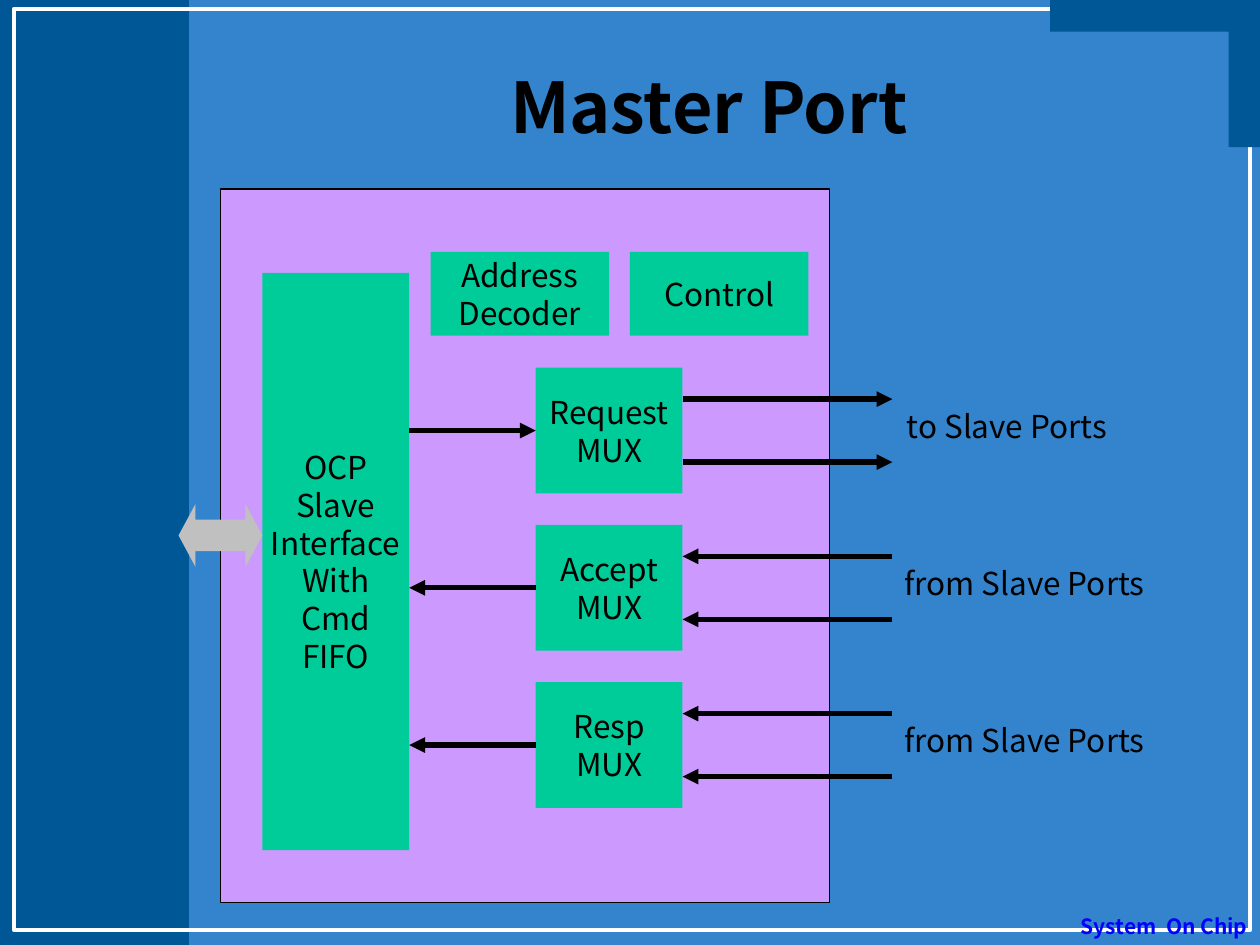
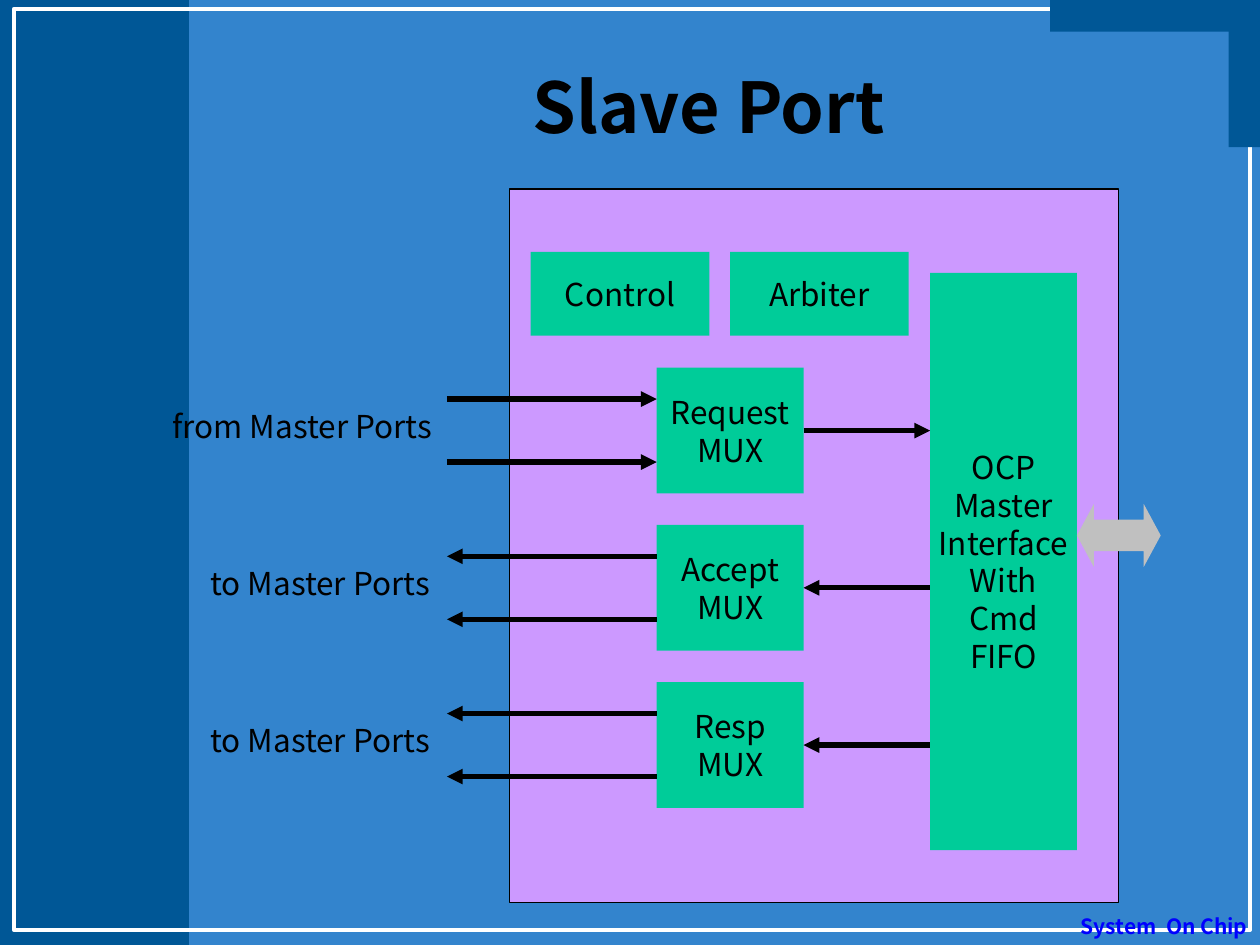
"""Build two block diagrams: the master port and, mirrored, the slave port."""
from dataclasses import dataclass
from typing import Optional

from lxml import etree
from pptx import Presentation
from pptx import util as u
from pptx.dml.color import RGBColor
from pptx.enum import shapes, text
from pptx.oxml import ns

FONT = "Noto Sans CJK KR"
BLACK, WHITE, FOOTER_BLUE = "000000", "FFFFFF", "0000FF"
SKY, NAVY, LILAC, GREEN, SILVER = "3384CD", "005796", "CC99FF", "00CC99", "C0C0C0"
MIRROR_WIDTH = 27.0
MUX_TOP, MUX_STEP = 7.41, 3.17
MUX_NAMES = ("Request", "Accept", "Resp")
OUTER_END = 17.99


@dataclass(frozen=True)
class Box:
    """A rectangle in centimetres."""
    left: float
    top: float
    width: float
    height: float

    @property
    def right(self) -> float:
        """Return the right edge."""
        return self.left + self.width

    @property
    def middle(self) -> float:
        """Return the vertical centre."""
        return self.top + self.height / 2

    def mirrored(self, flip: bool) -> "Box":
        """Return the box reflected left to right if flip is set."""
        if not flip:
            return self
        return Box(MIRROR_WIDTH - self.right, self.top, self.width, self.height)

    def lengths(self) -> list[u.Cm]:
        """Return left, top, width and height as lengths."""
        return [u.Cm(n) for n in (self.left, self.top, self.width, self.height)]


@dataclass(frozen=True)
class Label:
    """The caption beside the outer arrows of one multiplexer."""
    words: str
    left: float
    width: float


@dataclass(frozen=True)
class Port:
    """The content of one port diagram."""
    title: str
    role: str
    helpers: tuple[str, str]
    labels: tuple[Label, Label, Label]
    flip: bool


BANDS = (Box(0, 0, 3.81, 19.05), Box(21.17, 0, 4.23, 0.64), Box(24.77, 0, 0.63, 2.97))
FRAME = Box(0.28, 0.18, 24.92, 18.57)
TITLE = Box(3.81, 0.85, 20.96, 2.54)
FOOTER = Box(21.49, 18.29, 3.91, 1.27)
PANEL = Box(4.45, 3.81, 12.28, 14.39)
INTERFACE = Box(5.29, 5.5, 2.96, 11.64)
BUS = Box(3.6, 10.16, 1.69, 1.27)
HELPERS = (Box(8.68, 5.08, 3.6, 1.69), Box(12.7, 5.08, 3.6, 1.69))

FROM_SLAVES = Label("from Slave Ports", 17.98, 5.41)
TO_MASTERS = Label("to Master Ports", 3.99, 5.11)
PORTS = (
    Port("Master Port", "Slave", ("Address\nDecoder", "Control"),
         (Label("to Slave Ports", 18.03, 4.55), FROM_SLAVES, FROM_SLAVES), False),
    Port("Slave Port", "Master", ("Arbiter", "Control"),
         (Label("from Master Ports", 3.23, 5.94), TO_MASTERS, TO_MASTERS), True),
)


def colour(value: str) -> RGBColor:
    """Turn a hex string into a colour."""
    return RGBColor.from_string(value)


def write(frame, words: str, size: float = 18, ink: str = BLACK, bold: bool = False,
          align=text.PP_ALIGN.CENTER) -> None:
    """Write each line of words as one paragraph with one run."""
    for index, line in enumerate(words.split("\n")):
        paragraph = frame.paragraphs[0] if index == 0 else frame.add_paragraph()
        paragraph.alignment = align
        run = paragraph.add_run()
        run.text = line
        run.font.name = FONT
        run.font.size = u.Pt(size)
        run.font.bold = bold
        run.font.color.rgb = colour(ink)


def draw(slide, box: Box, fill: Optional[str] = None, edge: Optional[str] = None,
         weight: float = 0.75, kind=shapes.MSO_SHAPE.RECTANGLE):
    """Draw a flat preset shape."""
    shape = slide.shapes.add_shape(kind, *box.lengths())
    shape.shadow.inherit = False
    if fill:
        shape.fill.solid()
        shape.fill.fore_color.rgb = colour(fill)
    else:
        shape.fill.background()
    if edge:
        shape.line.color.rgb = colour(edge)
        shape.line.width = u.Pt(weight)
    else:
        shape.line.fill.background()
    return shape


def block(slide, box: Box, words: str):
    """Draw a green block with centred words."""
    shape = draw(slide, box, GREEN)
    shape.text_frame.word_wrap = False
    shape.text_frame.vertical_anchor = text.MSO_ANCHOR.MIDDLE
    write(shape.text_frame, words)
    return shape


def caption(slide, box: Box, wrap: bool, grow: bool = True):
    """Add a text box and return its frame."""
    frame = slide.shapes.add_textbox(*box.lengths()).text_frame
    frame.word_wrap = wrap
    if grow:
        frame.auto_size = text.MSO_AUTO_SIZE.SHAPE_TO_FIT_TEXT
    return frame


def arrow(slide, left: float, right: float, y: float, rightward: bool):
    """Draw a horizontal arrow between two x positions."""
    connector = slide.shapes.add_connector(
        shapes.MSO_CONNECTOR.STRAIGHT, u.Cm(left), u.Cm(y), u.Cm(right), u.Cm(y))
    connector.line.color.rgb = colour(BLACK)
    connector.line.width = u.Pt(3)
    properties = connector.element.spPr
    tip = "a:tailEnd" if rightward else "a:headEnd"
    etree.SubElement(properties.find(ns.qn("a:ln")), ns.qn(tip), type="triangle")
    etree.SubElement(properties, ns.qn("a:effectLst"))
    return connector


def decorate(slide, title: str) -> None:
    """Draw the side band, frame, corner, footer and title."""
    side, *corner = BANDS
    draw(slide, side, NAVY)
    draw(slide, FRAME, edge=WHITE, weight=2.25)
    for band in corner:
        draw(slide, band, NAVY)
    write(caption(slide, FOOTER, True), "System  On Chip", 12, FOOTER_BLUE, True,
          text.PP_ALIGN.RIGHT)
    heading = caption(slide, TITLE, True, grow=False)
    heading.vertical_anchor = text.MSO_ANCHOR.MIDDLE
    write(heading, title, 40, bold=True)


def draw_mux(slide, row: int, label: Label, flip: bool) -> None:
    """Draw one multiplexer with its inner arrow, outer arrows and label."""
    box = Box(10.8, MUX_TOP + row * MUX_STEP, 2.96, 2.54)
    inner = Box(INTERFACE.right, box.middle, box.left - INTERFACE.right, 0).mirrored(flip)
    outer = Box(box.right, box.middle, OUTER_END - box.right, 0).mirrored(flip)
    mux = block(slide, box.mirrored(flip), f"{MUX_NAMES[row]}\nMUX")
    rightward = row == 0
    link = arrow(slide, inner.left, inner.right, box.middle, rightward)
    if flip:
        link.begin_connect(mux, 3)
    else:
        link.end_connect(mux, 1)
    for offset in (-box.height / 4, box.height / 4):
        arrow(slide, outer.left, outer.right, box.middle + offset, rightward)
    place = Box(label.left, box.top + 0.67, label.width, 1.02)
    write(caption(slide, place, False), label.words, align=text.PP_ALIGN.LEFT)


def draw_port(slide, port: Port) -> None:
    """Draw the whole diagram of one port."""
    decorate(slide, port.title)
    draw(slide, PANEL.mirrored(port.flip), LILAC, BLACK)
    block(slide, INTERFACE.mirrored(port.flip),
          f"OCP\n{port.role}\nInterface\nWith\nCmd\nFIFO")
    for box, words in zip(HELPERS, port.helpers):
        block(slide, box.mirrored(port.flip), words)
    for row, label in enumerate(port.labels):
        draw_mux(slide, row, label, port.flip)
    bus = draw(slide, BUS.mirrored(port.flip), SILVER,
               kind=shapes.MSO_SHAPE.LEFT_RIGHT_ARROW)
    bus.adjustments[0] = 0.5
    bus.adjustments[1] = 0.27


def main() -> None:
    """Build and save the presentation."""
    deck = Presentation()
    deck.slide_width, deck.slide_height = u.Cm(25.4), u.Cm(19.05)
    for port in PORTS:
        slide = deck.slides.add_slide(deck.slide_layouts[6])
        slide.background.fill.solid()
        slide.background.fill.fore_color.rgb = colour(SKY)
        draw_port(slide, port)
    deck.save("out.pptx")


if __name__ == "__main__":
    main()
